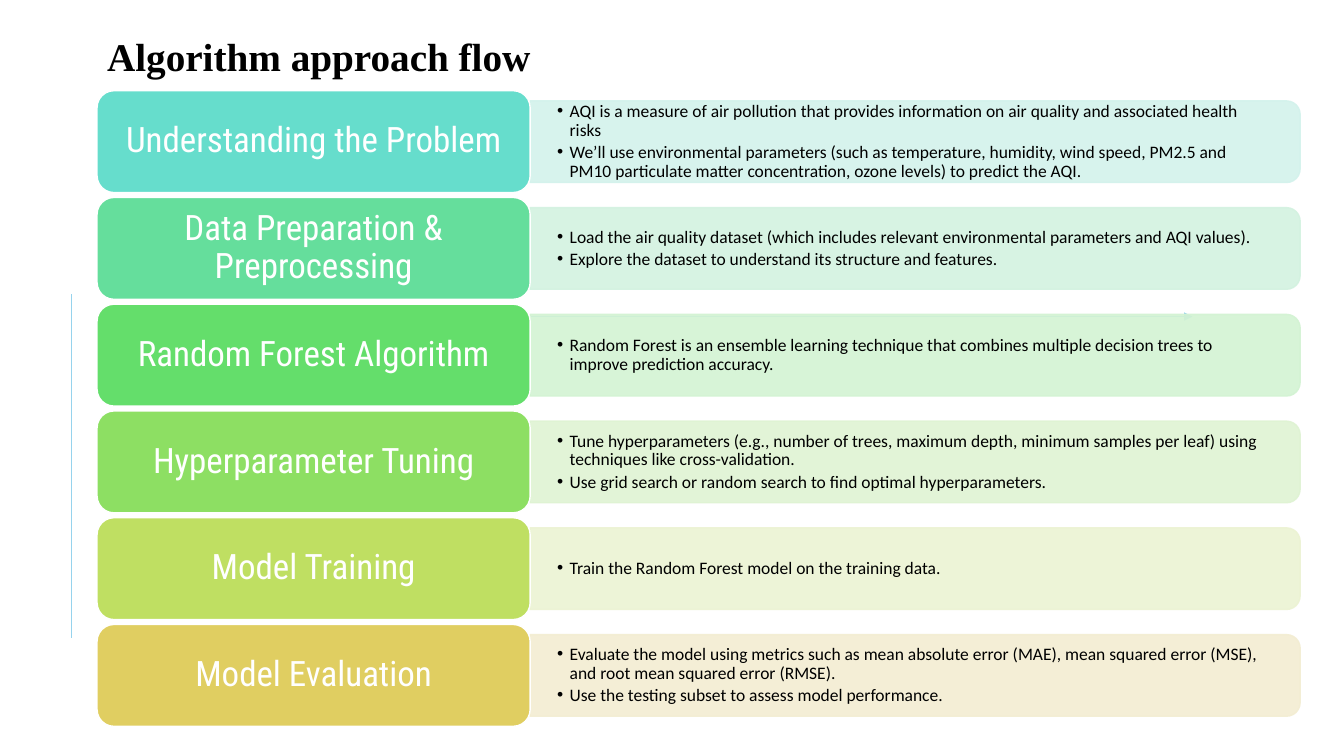
from copy import deepcopy
from dataclasses import dataclass

from lxml import etree
from pptx import Presentation
from pptx import util as u
from pptx.dml.color import RGBColor
from pptx.enum import shapes, text
from pptx.oxml import ns

BLACK = RGBColor(0x00, 0x00, 0x00)
WHITE = RGBColor(0xFF, 0xFF, 0xFF)
SKY = RGBColor(0x96, 0xD3, 0xED)
TEAL, PALE_TEAL = RGBColor(0x66, 0xDD, 0xCC), RGBColor(0xD3, 0xF2, 0xEC)
MINT, PALE_MINT = RGBColor(0x65, 0xDE, 0x9C), RGBColor(0xD3, 0xF2, 0xE0)
GREEN, PALE_GREEN = RGBColor(0x64, 0xDE, 0x6B), RGBColor(0xD3, 0xF3, 0xD3)
LEAF, PALE_LEAF = RGBColor(0x8D, 0xDF, 0x63), RGBColor(0xDF, 0xF3, 0xD3)
LIME, PALE_LIME = RGBColor(0xBF, 0xDF, 0x62), RGBColor(0xEC, 0xF3, 0xD3)
GOLD, PALE_GOLD = RGBColor(0xE0, 0xCE, 0x61), RGBColor(0xF3, 0xED, 0xD2)

FIRST_CENTER = 101.2
ROW_PITCH = 76.25
STEP_LEFT, STEP_WIDTH, STEP_HEIGHT = 69.3, 309.4, 72.8
PANEL_LEFT = STEP_LEFT + STEP_WIDTH
PANEL_WIDTH, PANEL_HEIGHT = 550, 58.3
LIST_WIDTH, LIST_HEIGHT = 547.2, 52.6


@dataclass(frozen=True)
class Step:
    name: str
    color: RGBColor
    pale: RGBColor
    points: tuple[str, ...]


STEPS = (
    Step("Understanding the Problem", TEAL, PALE_TEAL, (
        "AQI is a measure of air pollution that provides information on air quality "
        "and associated health risks",
        "We’ll use environmental parameters (such as temperature, humidity, wind speed, "
        "PM2.5 and PM10 particulate matter concentration, ozone levels) to predict the AQI.")),
    Step("Data Preparation & Preprocessing", MINT, PALE_MINT, (
        "Load the air quality dataset (which includes relevant environmental parameters "
        "and AQI values).",
        "Explore the dataset to understand its structure and features.")),
    Step("Random Forest Algorithm", GREEN, PALE_GREEN, (
        "Random Forest is an ensemble learning technique that combines multiple decision "
        "trees to improve prediction accuracy.",)),
    Step("Hyperparameter Tuning", LEAF, PALE_LEAF, (
        "Tune hyperparameters (e.g., number of trees, maximum depth, minimum samples per "
        "leaf) using techniques like cross-validation.",
        "Use grid search or random search to find optimal hyperparameters.")),
    Step("Model Training", LIME, PALE_LIME, (
        "Train the Random Forest model on the training data.",)),
    Step("Model Evaluation", GOLD, PALE_GOLD, (
        "Evaluate the model using metrics such as mean absolute error (MAE), mean squared "
        "error (MSE), and root mean squared error (RMSE).",
        "Use the testing subset to assess model performance.")),
)


def place(box, left: float, top: float, width: float, height: float) -> None:
    box.left, box.top = u.Pt(left), u.Pt(top)
    box.width, box.height = u.Pt(width), u.Pt(height)


def format_frame(frame, across: float, down: float, anchor) -> None:
    frame.word_wrap = True
    frame.auto_size = text.MSO_AUTO_SIZE.NONE
    frame.vertical_anchor = anchor
    frame.margin_left = frame.margin_right = u.Pt(across)
    frame.margin_top = frame.margin_bottom = u.Pt(down)


def format_para(para, font: str, size: float, color: RGBColor, align,
                spacing: float, after: float, bold: bool = False) -> None:
    para.alignment = align
    para.line_spacing = spacing
    para.space_before, para.space_after = u.Pt(0), u.Pt(after)
    for span in para.runs:
        span.font.name, span.font.size = font, u.Pt(size)
        span.font.bold = bold
        span.font.color.rgb = color


def add_bullet(para) -> None:
    properties = para._p.get_or_add_pPr()
    properties.set("marL", str(u.Pt(9)))
    properties.set("indent", str(u.Pt(-9)))
    etree.SubElement(properties, ns.qn("a:buFont")).set("typeface", "Arial")
    etree.SubElement(properties, ns.qn("a:buChar")).set("char", "•")


def extend_layout(layout, count: int) -> None:
    body = next(box for box in layout.placeholders if box.placeholder_format.idx == 1)
    for number in range(1, count):
        twin = deepcopy(body.element)
        twin.find(".//" + ns.qn("p:cNvPr")).set("id", str(100 + number))
        twin.find(".//" + ns.qn("p:ph")).set("idx", str(20 + number))
        layout.shapes[-1].element.addnext(twin)


def add_line(page, start: tuple[float, float], end: tuple[float, float], arrow: bool) -> None:
    line = page.shapes.add_connector(
        shapes.MSO_CONNECTOR.STRAIGHT, *(u.Pt(value) for value in start + end))
    line.line.color.rgb = SKY
    line.line.width = u.Pt(1)
    properties = line.element.spPr
    if arrow:
        head = etree.SubElement(properties.find(ns.qn("a:ln")), ns.qn("a:headEnd"))
        head.set("type", "triangle")
    etree.SubElement(properties, ns.qn("a:effectLst"))
    page.shapes.title.element.addprevious(line.element)


def add_panel(page, step: Step, center: float, body) -> None:
    panel = page.shapes.add_shape(
        shapes.MSO_SHAPE.ROUND_2_SAME_RECTANGLE,
        u.Pt(PANEL_LEFT + (PANEL_WIDTH - PANEL_HEIGHT) / 2), u.Pt(center - PANEL_WIDTH / 2),
        u.Pt(PANEL_HEIGHT), u.Pt(PANEL_WIDTH))
    panel.rotation = 90
    panel.shadow.inherit = False
    panel.fill.solid()
    panel.fill.fore_color.rgb = panel.line.color.rgb = step.pale
    panel.line.width = u.Pt(1)
    for color in panel.element.spPr.iter(ns.qn("a:srgbClr")):
        etree.SubElement(color, ns.qn("a:alpha")).set("val", "90000")
    body.element.addprevious(panel.element)


def fill_list(body, step: Step, center: float) -> None:
    place(body, PANEL_LEFT, center - LIST_HEIGHT / 2, LIST_WIDTH, LIST_HEIGHT)
    frame = body.text_frame
    frame.text = "\n".join(step.points)
    format_frame(frame, 19.2, 9.6, text.MSO_ANCHOR.MIDDLE)
    for para in frame.paragraphs:
        format_para(para, "Calibri", 12.5, BLACK, text.PP_ALIGN.LEFT, 0.9, 2.3)
        add_bullet(para)


def add_step(page, step: Step, center: float) -> None:
    box = page.shapes.add_shape(
        shapes.MSO_SHAPE.ROUNDED_RECTANGLE, u.Pt(STEP_LEFT), u.Pt(center - STEP_HEIGHT / 2),
        u.Pt(STEP_WIDTH), u.Pt(STEP_HEIGHT))
    box.shadow.inherit = False
    box.fill.solid()
    box.fill.fore_color.rgb = step.color
    box.line.color.rgb = WHITE
    box.line.width = u.Pt(1)
    box.text_frame.text = step.name
    format_frame(box.text_frame, 7.2, 3.6, text.MSO_ANCHOR.MIDDLE)
    format_para(box.text_frame.paragraphs[0], "Roboto Condensed", 25, WHITE,
                text.PP_ALIGN.CENTER, 0.9, 0)


def main() -> None:
    deck = Presentation()
    deck.slide_width, deck.slide_height = u.Pt(960), u.Pt(540)
    layout = deck.slide_layouts[1]
    extend_layout(layout, len(STEPS))
    page = deck.slides.add_slide(layout)

    title = page.shapes.title
    place(title, STEP_LEFT, 17.3, 774, 41)
    title.text_frame.text = "Algorithm approach flow"
    format_frame(title.text_frame, 7.2, 3.6, text.MSO_ANCHOR.TOP)
    format_para(title.text_frame.paragraphs[0], "Times New Roman", 28, BLACK,
                text.PP_ALIGN.LEFT, 1.06, 8, bold=True)

    add_line(page, (51.1, 210.2), (51.1, 455.8), arrow=False)
    add_line(page, (851.8, 226.1), (95.8, 226.1), arrow=True)

    bodies = [box for box in page.placeholders if box.placeholder_format.idx > 0]
    for row, (step, body) in enumerate(zip(STEPS, bodies)):
        center = FIRST_CENTER + row * ROW_PITCH
        add_panel(page, step, center, body)
        fill_list(body, step, center)
        add_step(page, step, center)
    deck.save("out.pptx")


if __name__ == "__main__":
    main()
